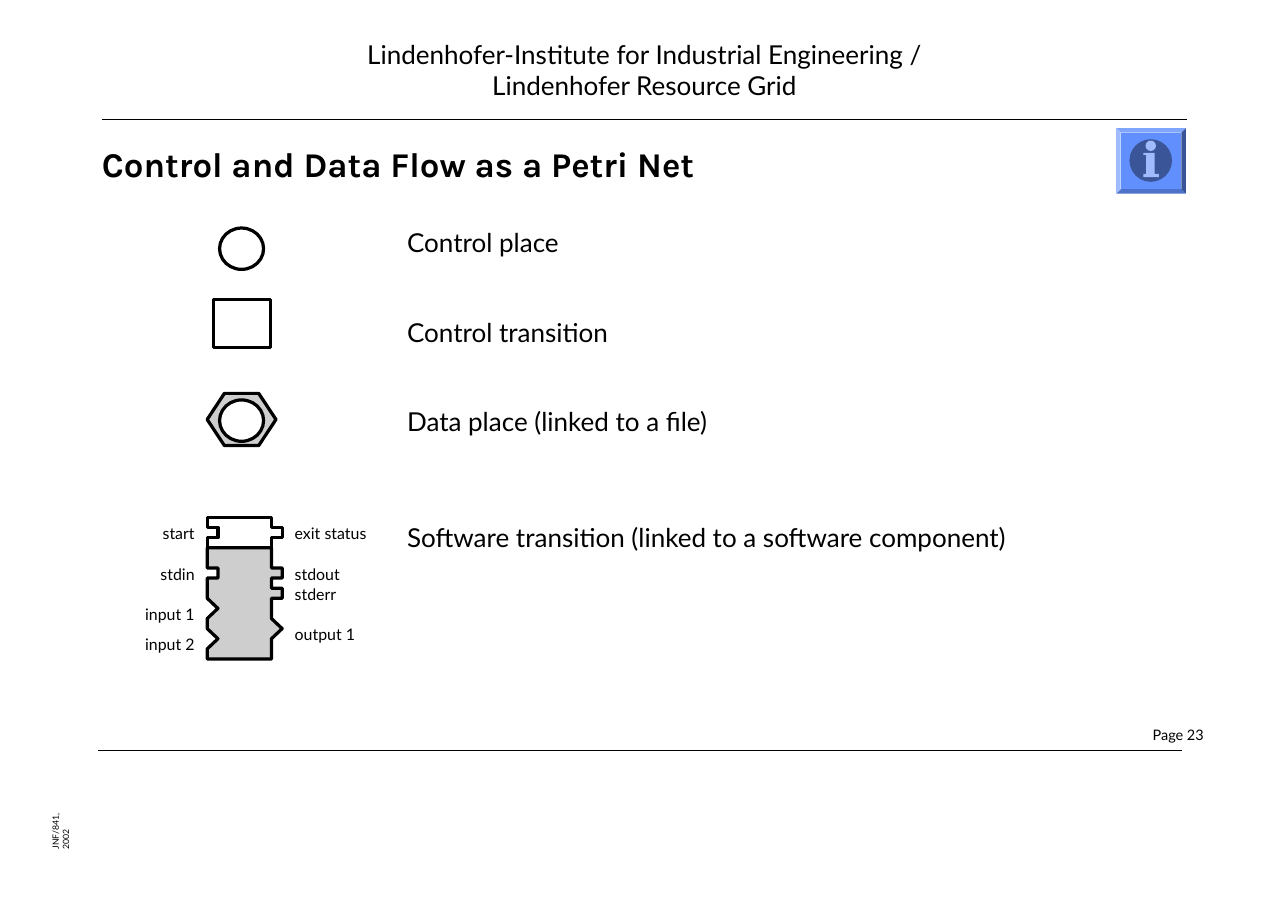
from dataclasses import dataclass

from lxml import etree
from pptx import Presentation
from pptx.dml.color import RGBColor
from pptx.enum.shapes import MSO_CONNECTOR, MSO_SHAPE
from pptx.enum.text import MSO_ANCHOR, PP_ALIGN
from pptx.oxml.ns import qn
from pptx.util import Inches, Pt

SLIDE_WIDTH, SLIDE_HEIGHT = Inches(12.37), Inches(8.75)
COLUMN, ROW = SLIDE_WIDTH / 100, SLIDE_HEIGHT / 100
BLACK = RGBColor(0x00, 0x00, 0x00)
WHITE = RGBColor(0xFF, 0xFF, 0xFF)
GREY = RGBColor(0xCE, 0xCE, 0xCE)
BLUE = RGBColor(0x61, 0x8F, 0xFD)
DARK_BLUE = RGBColor(0x3A, 0x56, 0x98)
LIGHT_BLUE = RGBColor(0xA0, 0xBC, 0xFE)

COMPONENT_COLUMNS, COMPONENT_ROWS = 7, 14
CONTROL_PART = [(0, 3), (0, 2), (1, 2), (1, 1), (0, 1), (0, 0), (6, 0),
                (6, 1), (7, 1), (7, 2), (6, 2), (6, 3)]
DATA_PART = [(0, 3), (0, 5), (1, 5), (1, 6), (0, 6), (0, 8), (1, 9), (0, 10),
             (0, 11), (1, 12), (0, 13), (0, 14), (6, 14), (6, 12), (7, 11),
             (6, 10), (6, 8), (7, 8), (7, 7), (6, 7), (6, 6), (7, 6), (7, 5),
             (6, 5), (6, 3)]
INPUTS = {"start": 0, "stdin": 4, "input 1": 8, "input 2": 11}
OUTPUTS = {"exit status": 0, "stdout": 4, "stderr": 6, "output 1": 10}
LETTER_I = [(0.39, 0.38), (0.55, 0.38), (0.55, 0.7), (0.61, 0.7), (0.61, 0.75),
            (0.39, 0.75), (0.39, 0.7), (0.43, 0.7), (0.43, 0.41), (0.39, 0.41)]
DESCRIPTIONS = [("Control place", 0), ("Control transition", 22),
                ("Data place (linked to a file)", 22),
                ("Software transition (linked to a software component)", 40)]


@dataclass
class Box:
    """A rectangle measured in slide columns and rows."""
    left: float
    top: float
    width: float
    height: float

    def share(self, left, top, width, height):
        """Return the part of this box given by shares of its size."""
        return Box(self.left + left * self.width, self.top + top * self.height,
                   width * self.width, height * self.height)

    def point(self, across, down):
        """Return the slide position of a point given by shares."""
        return (round((self.left + across * self.width) * COLUMN),
                round((self.top + down * self.height) * ROW))

    def frame(self):
        """Return left, top, width and height as slide lengths."""
        return (*self.point(0, 0), round(self.width * COLUMN),
                round(self.height * ROW))


def add_text(slide, box, lines, size=18, align=PP_ALIGN.LEFT, spacing=None,
             after=0, name="Lato", bold=False, inset=(0, 0)):
    """Add a text box with one paragraph per line and its space before."""
    shape = slide.shapes.add_textbox(*box.frame())
    text_frame = shape.text_frame
    frame_format = {"word_wrap": True, "margin_left": Inches(inset[0]),
                    "margin_right": Inches(inset[0]),
                    "margin_top": Inches(inset[1]),
                    "margin_bottom": Inches(inset[1])}
    for key, value in frame_format.items():
        setattr(text_frame, key, value)
    for index, (text, before) in enumerate(lines):
        paragraph = text_frame.add_paragraph() if index else text_frame.paragraphs[0]
        paragraph.text = text
        paragraph_format = {"alignment": align, "space_after": Pt(after),
                            "line_spacing": Pt(spacing) if spacing else None}
        if before:
            paragraph_format["space_before"] = Pt(before)
        for key, value in paragraph_format.items():
            setattr(paragraph, key, value)
        for key, value in {"name": name, "size": Pt(size), "bold": bold}.items():
            setattr(paragraph.font, key, value)
        paragraph.font.color.rgb = BLACK
    return shape


def paint(shape, fill=None, line=BLACK):
    """Set the fill and outline of a shape, and take off its shadow."""
    shape.shadow.inherit = False
    if fill is None:
        shape.fill.background()
    else:
        shape.fill.solid()
        shape.fill.fore_color.rgb = fill
    if line is None:
        shape.line.fill.background()
    else:
        shape.line.color.rgb = line
        shape.line.width = Pt(2.25)


def add_preset(slide, kind, box, fill=None, line=BLACK):
    """Add a painted preset shape."""
    shape = slide.shapes.add_shape(kind, *box.frame())
    paint(shape, fill, line)
    return shape


def add_outline(slide, box, points, fill, line=BLACK):
    """Add a closed outline whose points are shares of the box."""
    start, *others = [box.point(*point) for point in points]
    builder = slide.shapes.build_freeform(*start)
    builder.add_line_segments(others, close=True)
    paint(builder.convert_to_shape(), fill, line)


def add_rule(slide, box, share, width):
    """Draw a rule along the bottom of the box."""
    rule = slide.shapes.add_connector(MSO_CONNECTOR.STRAIGHT, *box.point(0, 1),
                                      *box.point(share, 1))
    rule.line.color.rgb = BLACK
    rule.line.width = Pt(width)
    properties = rule._element.find(qn("p:spPr"))
    etree.SubElement(properties, qn("a:effectLst"))


def add_header(slide, box):
    """Add the two centred lines and the rule below them."""
    lines = [("Lindenhofer-Institute for Industrial Engineering /", 0),
             ("Lindenhofer Resource Grid", 0)]
    add_text(slide, box.share(0, 0, 1, 0.77), lines, align=PP_ALIGN.CENTER,
             spacing=22)
    add_rule(slide, box, 1, 1)


def add_footer(slide, box):
    """Add the page number and the rule below it."""
    add_text(slide, box.share(0.9, 0, 0.1, 0.79), [("Page 23", 0)], size=10,
             align=PP_ALIGN.RIGHT)
    add_rule(slide, box, 0.98, 0.85)


def add_margin_note(slide, box):
    """Add the small note that runs up the left margin."""
    note = add_text(slide, box, [("JNF/841, 2002", 0)], size=6)
    note.rotation = 270
    note.text_frame.vertical_anchor = MSO_ANCHOR.BOTTOM


def add_symbols(slide, box):
    """Add the control place, control transition and data place."""
    add_preset(slide, MSO_SHAPE.OVAL, box.share(0.18, 0, 0.64, 0.19))
    add_preset(slide, MSO_SHAPE.RECTANGLE, box.share(0.09, 0.33, 0.83, 0.22))
    hexagon = add_preset(slide, MSO_SHAPE.HEXAGON, box.share(0, 0.76, 1, 0.24), GREY)
    hexagon.adjustments[0] = 0.33
    add_preset(slide, MSO_SHAPE.OVAL, box.share(0.18, 0.79, 0.64, 0.19), WHITE)


def add_component(slide, box):
    """Add the software transition with its labelled ports."""
    for part, fill in ((DATA_PART, GREY), (CONTROL_PART, WHITE)):
        points = [(column / COMPONENT_COLUMNS, row / COMPONENT_ROWS)
                  for column, row in part]
        add_outline(slide, box, points, fill)
    label_width = 10 / COMPONENT_COLUMNS
    for labels, left, align in ((INPUTS, -label_width, PP_ALIGN.RIGHT),
                                (OUTPUTS, 1, PP_ALIGN.LEFT)):
        for label, row in labels.items():
            place = box.share(left, row / COMPONENT_ROWS, label_width,
                              3 / COMPONENT_ROWS)
            add_text(slide, place, [(label, 0)], size=11, align=align,
                     inset=(0.12, 0.06))


def add_information_button(slide, box):
    """Add the bevelled button with the letter i on a disc."""
    button = add_preset(slide, MSO_SHAPE.BEVEL, box, BLUE, None)
    button.adjustments[0] = 0.07
    add_preset(slide, MSO_SHAPE.OVAL, box.share(0.19, 0.17, 0.61, 0.65),
               DARK_BLUE, None)
    add_preset(slide, MSO_SHAPE.OVAL, box.share(0.42, 0.19, 0.15, 0.16),
               LIGHT_BLUE, None)
    add_outline(slide, box, LETTER_I, LIGHT_BLUE, None)


def main():
    """Build the slide and save it."""
    presentation = Presentation()
    presentation.slide_width, presentation.slide_height = SLIDE_WIDTH, SLIDE_HEIGHT
    slide = presentation.slides.add_slide(presentation.slide_layouts[6])
    add_footer(slide, Box(7.6, 79.66, 85.85, 2.74))
    add_header(slide, Box(7.92, 4.11, 84.24, 9.03))
    add_margin_note(slide, Box(2.51, 89.03, 4.37, 2.29))
    add_text(slide, Box(7.92, 15.77, 84.24, 6.63),
             [("Control and Data Flow as a Petri Net", 0)], size=24, spacing=28,
             name="Karla", bold=True)
    add_symbols(slide, Box(16.09, 25.03, 5.34, 23.89))
    add_component(slide, Box(16.09, 56.8, 5.82, 15.54))
    add_text(slide, Box(31.61, 24.8, 61.68, 48.46), DESCRIPTIONS, spacing=22,
             after=18)
    add_information_button(slide, Box(86.66, 14.06, 5.42, 7.2))
    presentation.save("out.pptx")


if __name__ == "__main__":
    main()
